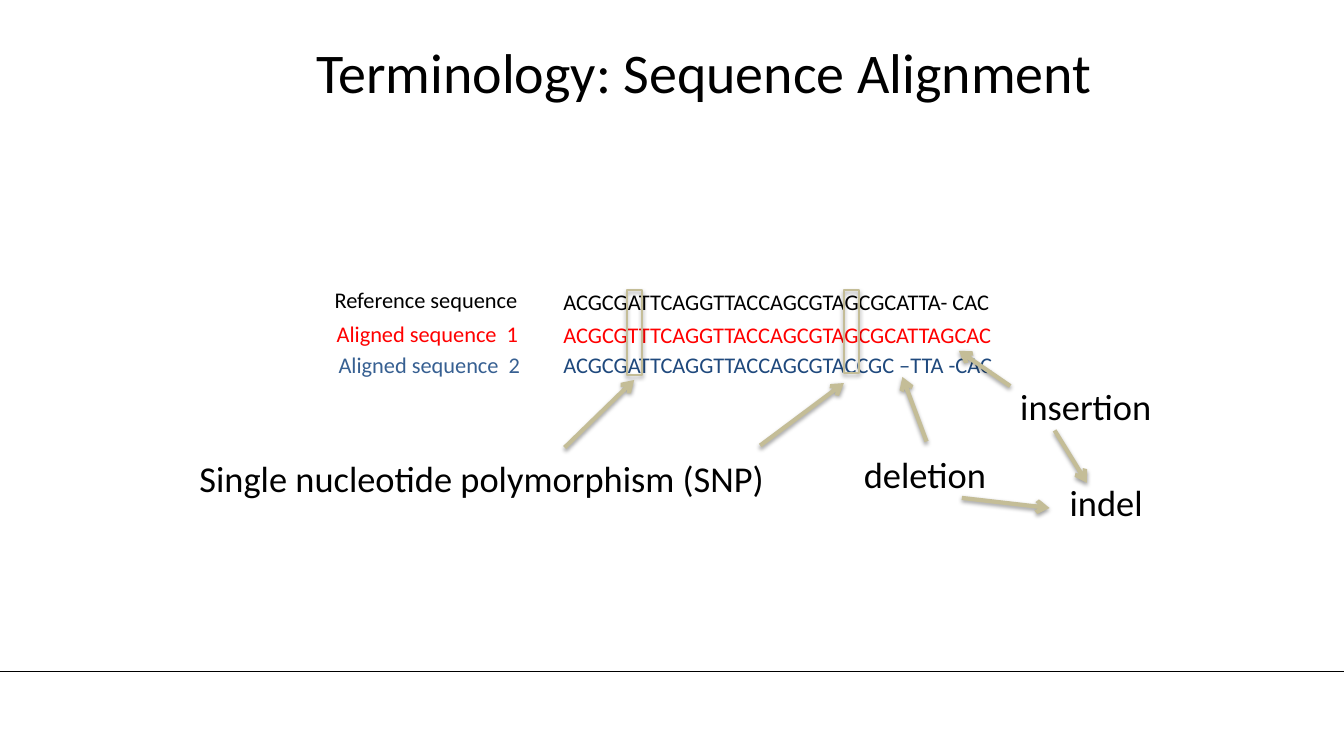
from dataclasses import dataclass
from typing import Any

from lxml import etree
from pptx import Presentation
from pptx.dml.color import RGBColor
from pptx.enum.shapes import MSO_CONNECTOR, MSO_SHAPE
from pptx.enum.text import MSO_ANCHOR, MSO_AUTO_SIZE, PP_ALIGN
from pptx.oxml import parse_xml
from pptx.oxml.ns import nsdecls, qn
from pptx.util import Emu, Pt

STRAIGHT = MSO_CONNECTOR.STRAIGHT
RECTANGLE = MSO_SHAPE.RECTANGLE
MIDDLE, TOP = MSO_ANCHOR.MIDDLE, MSO_ANCHOR.TOP
CENTER, LEFT = PP_ALIGN.CENTER, PP_ALIGN.LEFT
GROW = MSO_AUTO_SIZE.SHAPE_TO_FIT_TEXT
EMU_PER_PX = 9144
SLIDE_WIDTH, SLIDE_HEIGHT = 1333, 750
FOOTER_RULE_Y = 666


@dataclass(frozen=True)
class Theme:
    font: str = "Calibri"
    black: str = "000000"
    red: str = "FF0000"
    navy: str = "1F497D"
    blue: str = "376092"
    tan: str = "C4BD97"
    title: int = 40
    term: int = 26
    sequence: int = 16
    rule: float = 0.75
    box: float = 1.5
    arrow: float = 3


THEME = Theme()


@dataclass(frozen=True)
class Label:
    text: str
    left: int
    top: int
    width: int
    height: int
    size: int
    color: str = THEME.black
    wrap: bool = False
    align: Any = LEFT
    anchor: Any = TOP
    inset_x: int = 10
    inset_y: int = 5


@dataclass(frozen=True)
class Line:
    x1: int
    y1: int
    x2: int
    y2: int


@dataclass(frozen=True)
class Box:
    left: int
    top: int
    width: int
    height: int


@dataclass(frozen=True)
class Shadow:
    distance: float
    opacity: int
    blur: float = 3.1


ARROW_SHADOW = Shadow(1.6, 38)
BOX_SHADOW = Shadow(1.8, 35)

LABELS = [
    Label("Terminology: Sequence Alignment", 210, 33, 976, 75, THEME.title,
          wrap=True, align=CENTER, anchor=MIDDLE, inset_x=7, inset_y=4),
    Label("Reference sequence", 322, 279, 204, 37, THEME.sequence),
    Label("Aligned sequence  1", 324, 313, 222, 37, THEME.sequence, THEME.red, True),
    Label("Aligned sequence  2", 326, 343, 231, 37, THEME.sequence, THEME.blue, True),
    Label("ACGCGATTCAGGTTACCAGCGTAGCGCATTA- CAC", 549, 281, 454, 37, THEME.sequence),
    Label("ACGCGTTTCAGGTTACCAGCGTAGCGCATTAGCAC", 549, 314, 449, 37,
          THEME.sequence, THEME.red),
    Label("ACGCGATTCAGGTTACCAGCGTACCGC –TTA -CAC", 549, 343, 523, 37,
          THEME.sequence, THEME.navy, True),
    Label("Single nucleotide polymorphism (SNP)", 188, 448, 586, 54, THEME.term),
    Label("insertion", 1002, 376, 152, 54, THEME.term),
    Label("deletion", 847, 444, 143, 54, THEME.term),
    Label("indel", 1051, 471, 93, 54, THEME.term),
]
SNP_BOXES = [Box(622, 288, 15, 84), Box(837, 288, 15, 82)]
ARROWS = [
    Line(560, 444, 629, 377),
    Line(754, 442, 837, 380),
    Line(1002, 383, 951, 348),
    Line(919, 438, 895, 374),
    Line(954, 494, 1041, 504),
    Line(1046, 427, 1078, 479),
]


def px(length: int) -> Emu:
    return Emu(length * EMU_PER_PX)


def set_format(target: Any, values: dict[str, Any]) -> None:
    for name, value in values.items():
        setattr(target, name, value)


def add_label(slide: Any, label: Label) -> None:
    shape = slide.shapes.add_textbox(
        px(label.left), px(label.top), px(label.width), px(label.height))
    frame = shape.text_frame
    set_format(frame, {
        "word_wrap": label.wrap,
        "auto_size": GROW,
        "vertical_anchor": label.anchor,
        "margin_left": px(label.inset_x),
        "margin_right": px(label.inset_x),
        "margin_top": px(label.inset_y),
        "margin_bottom": px(label.inset_y),
    })
    paragraph = frame.paragraphs[0]
    paragraph.alignment = label.align
    run = paragraph.add_run()
    run.text = label.text
    set_format(run.font, {"name": THEME.font, "size": Pt(label.size)})
    run.font.color.rgb = RGBColor.from_string(label.color)


def set_line(shape: Any, color: str, width: float) -> None:
    shape.line.color.rgb = RGBColor.from_string(color)
    shape.line.width = Pt(width)


def add_effects(shape: Any, shadow: Shadow | None = None) -> None:
    effects = parse_xml(f"<a:effectLst {nsdecls('a')}/>")
    if shadow:
        outer = etree.SubElement(effects, qn("a:outerShdw"), {
            "blurRad": str(Pt(shadow.blur)), "dist": str(Pt(shadow.distance)),
            "dir": "5400000", "rotWithShape": "0"})
        color = etree.SubElement(outer, qn("a:srgbClr"), val=THEME.black)
        etree.SubElement(color, qn("a:alpha"), val=str(shadow.opacity * 1000))
    shape._element.spPr.append(effects)


def add_line(slide: Any, line: Line, color: str, width: float) -> Any:
    connector = slide.shapes.add_connector(
        STRAIGHT, px(line.x1), px(line.y1), px(line.x2), px(line.y2))
    set_line(connector, color, width)
    return connector


def add_rule(slide: Any) -> None:
    line = Line(0, FOOTER_RULE_Y, SLIDE_WIDTH, FOOTER_RULE_Y)
    add_effects(add_line(slide, line, THEME.black, THEME.rule))


def add_arrow(slide: Any, line: Line) -> None:
    connector = add_line(slide, line, THEME.tan, THEME.arrow)
    outline = connector._element.spPr.find(qn("a:ln"))
    etree.SubElement(outline, qn("a:tailEnd"), type="arrow")
    add_effects(connector, ARROW_SHADOW)


def add_snp_box(slide: Any, box: Box) -> None:
    shape = slide.shapes.add_shape(
        RECTANGLE, px(box.left), px(box.top), px(box.width), px(box.height))
    shape.fill.background()
    set_line(shape, THEME.tan, THEME.box)
    add_effects(shape, BOX_SHADOW)


def main() -> None:
    presentation = Presentation()
    presentation.slide_width = px(SLIDE_WIDTH)
    presentation.slide_height = px(SLIDE_HEIGHT)
    slide = presentation.slides.add_slide(presentation.slide_layouts[6])
    add_rule(slide)
    for label in LABELS:
        add_label(slide, label)
    for box in SNP_BOXES:
        add_snp_box(slide, box)
    for arrow in ARROWS:
        add_arrow(slide, arrow)
    presentation.save("out.pptx")


if __name__ == "__main__":
    main()
